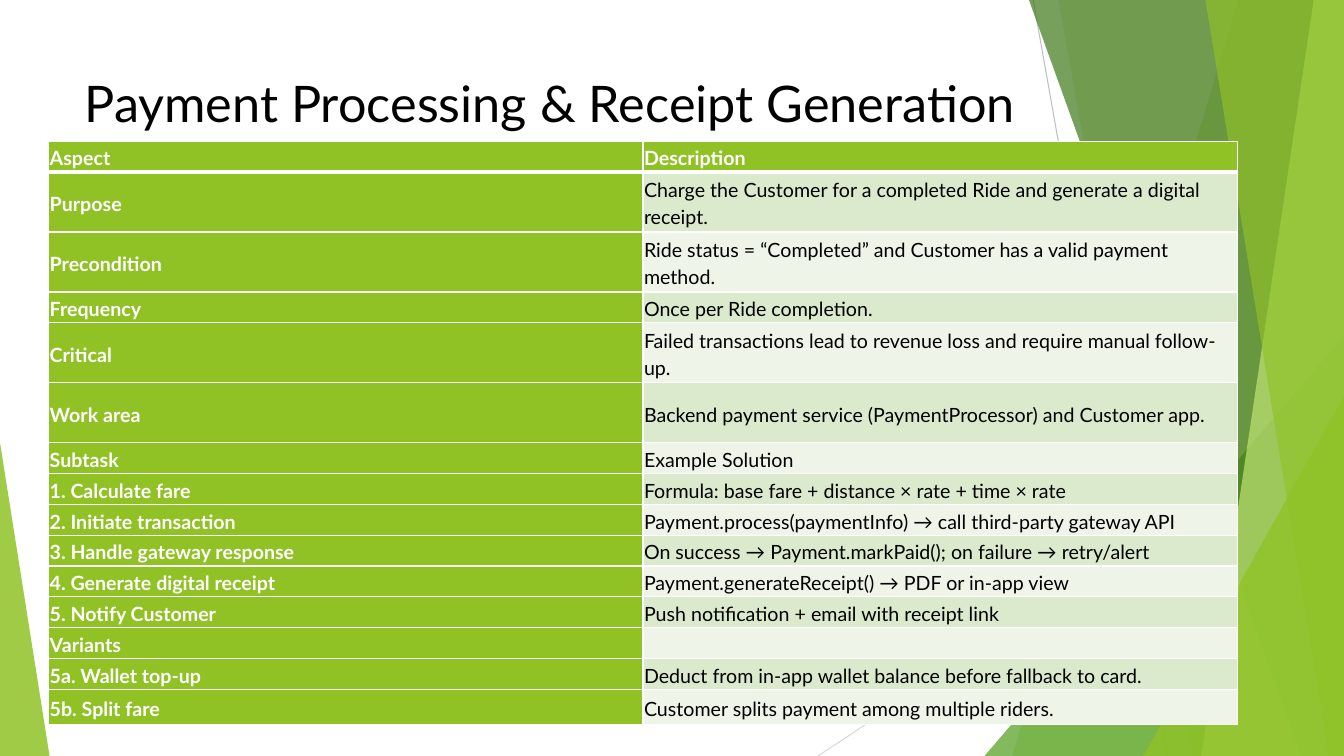
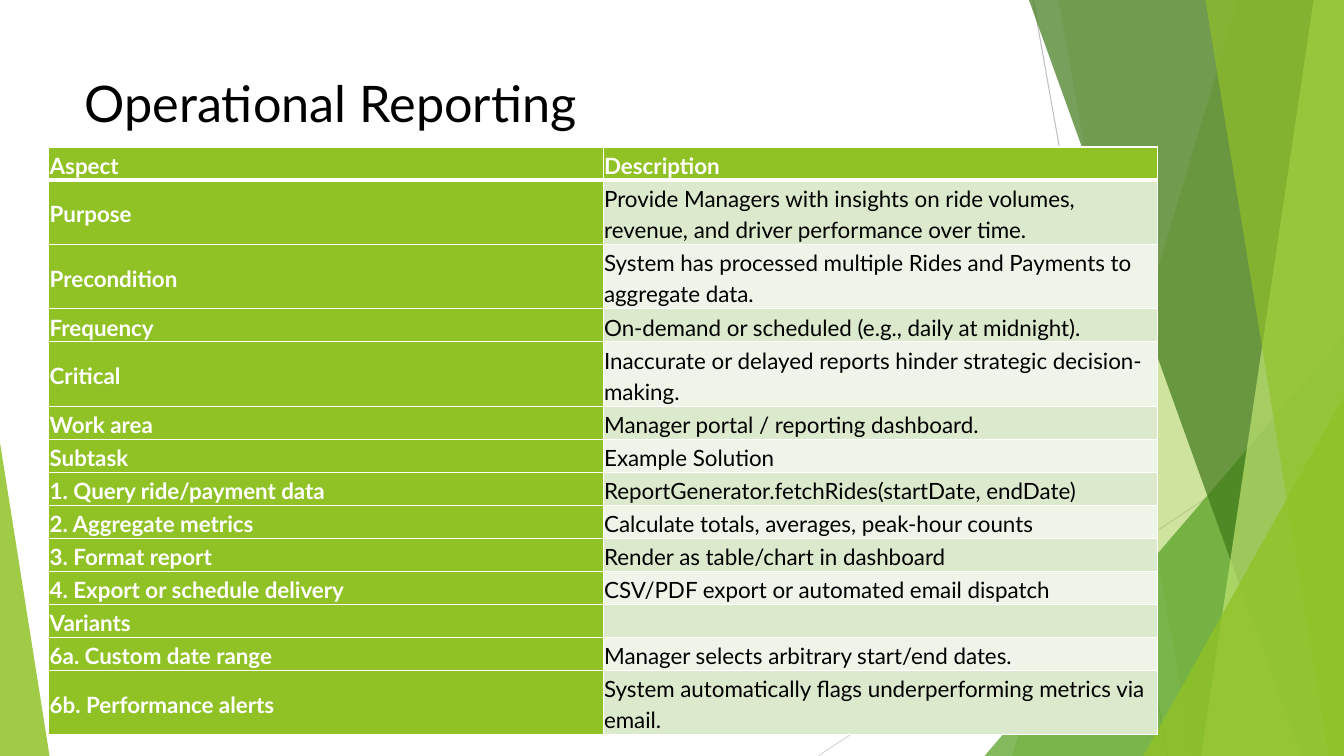
"""Build two use-case slides: a title and an aspect table over green shards."""
from lxml.etree import SubElement
from pptx import Presentation
from pptx.dml.color import RGBColor
from pptx.enum.shapes import MSO_CONNECTOR, MSO_SHAPE
from pptx.enum.text import MSO_ANCHOR
from pptx.oxml.ns import qn
from pptx.util import Inches, Pt

COLUMNS, ROWS = 160, 90
UNIT = Inches(7.5) // ROWS

WHITE = RGBColor(0xFF, 0xFF, 0xFF)
BLACK = RGBColor(0x00, 0x00, 0x00)
LIME = RGBColor(0x90, 0xC2, 0x26)
LEAF = RGBColor(0x54, 0xA0, 0x21)
FOREST = RGBColor(0x3F, 0x78, 0x19)
PALE_LIME = RGBColor(0xC0, 0xE4, 0x74)
BAND_DARK = RGBColor(0xDB, 0xE9, 0xCD)
BAND_LIGHT = RGBColor(0xEE, 0xF4, 0xE8)
GREY = RGBColor(0xBF, 0xBF, 0xBF)
LIGHT_GREY = RGBColor(0xD9, 0xD9, 0xD9)

FONT = "Lato"
TITLE_SIZE = 36
SINGLE, DOUBLE, CLOSING = 1, 1.95, 1.15
INSET = Inches(0.01)
CELL_FORMAT = {
    "margin_left": INSET, "margin_right": INSET,
    "margin_top": INSET, "margin_bottom": INSET,
    "vertical_anchor": MSO_ANCHOR.MIDDLE,
}
CELL_PARAGRAPH = {"line_spacing": 1.15, "space_after": Pt(8)}

PAYMENT_ROWS = [
    ("Aspect", "Description", SINGLE),
    ("Purpose", "Charge the Customer for a completed Ride and generate a digital receipt.", DOUBLE),
    ("Precondition", "Ride status = “Completed” and Customer has a valid payment method.", DOUBLE),
    ("Frequency", "Once per Ride completion.", SINGLE),
    ("Critical", "Failed transactions lead to revenue loss and require manual follow-up.", DOUBLE),
    ("Work area", "Backend payment service (PaymentProcessor) and Customer app.", DOUBLE),
    ("Subtask", "Example Solution", SINGLE),
    ("1. Calculate fare", "Formula: base fare + distance × rate + time × rate", SINGLE),
    ("2. Initiate transaction", "Payment.process(paymentInfo) → call third-party gateway API", SINGLE),
    ("3. Handle gateway response", "On success → Payment.markPaid(); on failure → retry/alert", SINGLE),
    ("4. Generate digital receipt", "Payment.generateReceipt() → PDF or in-app view", SINGLE),
    ("5. Notify Customer", "Push notification + email with receipt link", SINGLE),
    ("Variants", "", SINGLE),
    ("5a. Wallet top-up", "Deduct from in-app wallet balance before fallback to card.", SINGLE),
    ("5b. Split fare", "Customer splits payment among multiple riders.", CLOSING),
]
REPORTING_ROWS = [
    ("Aspect", "Description", SINGLE),
    ("Purpose", "Provide Managers with insights on ride volumes, revenue, and driver performance over time.", DOUBLE),
    ("Precondition", "System has processed multiple Rides and Payments to aggregate data.", DOUBLE),
    ("Frequency", "On-demand or scheduled (e.g., daily at midnight).", SINGLE),
    ("Critical", "Inaccurate or delayed reports hinder strategic decision-making.", DOUBLE),
    ("Work area", "Manager portal / reporting dashboard.", SINGLE),
    ("Subtask", "Example Solution", SINGLE),
    ("1. Query ride/payment data", "ReportGenerator.fetchRides(startDate, endDate)", SINGLE),
    ("2. Aggregate metrics", "Calculate totals, averages, peak-hour counts", SINGLE),
    ("3. Format report", "Render as table/chart in dashboard", SINGLE),
    ("4. Export or schedule delivery", "CSV/PDF export or automated email dispatch", SINGLE),
    ("Variants", "", SINGLE),
    ("6a. Custom date range", "Manager selects arbitrary start/end dates.", SINGLE),
    ("6b. Performance alerts", "System automatically flags underperforming metrics via email.", DOUBLE),
]


def grid(*steps):
    """Turn grid steps into lengths."""
    return [round(step * UNIT) for step in steps]


def set_format(target, values):
    """Set each named attribute on the target."""
    for name, value in values.items():
        setattr(target, name, value)


def write(paragraph, text, size, color, bold=False):
    """Add one formatted run, or size the paragraph if it stays empty."""
    if not text:
        SubElement(paragraph._p, qn("a:endParaRPr"), sz=str(size * 100))
        return
    run = paragraph.add_run()
    run.text = text
    set_format(run.font, {"name": FONT, "size": Pt(size), "bold": bold})
    run.font.color.rgb = color


def tint(shape, color, opacity):
    """Give a shape a translucent fill without outline or shadow."""
    shape.fill.solid()
    shape.fill.fore_color.rgb = color
    shade = shape._element.spPr.find(".//" + qn("a:srgbClr"))
    SubElement(shade, qn("a:alpha"), val=str(opacity * 1000))
    shape.line.fill.background()
    shape.shadow.inherit = False


def add_hairline(shapes, start, end, color):
    """Draw a thin straight line between two grid points."""
    hairline = shapes.add_connector(MSO_CONNECTOR.STRAIGHT, *grid(*start, *end))
    hairline.line.width = Pt(0.75)
    hairline.line.color.rgb = color
    SubElement(hairline._element.spPr, qn("a:effectLst"))


def add_shard(shapes, top_x, bottom_x, color, opacity):
    """Draw a full-height shard from a slanted edge to the right margin."""
    outline = shapes.build_freeform(*grid(top_x, 0), scale=1.0)
    corners = [(COLUMNS, 0), (COLUMNS, ROWS), (bottom_x, ROWS)]
    outline.add_line_segments([grid(*corner) for corner in corners], close=True)
    tint(outline.convert_to_shape(), color, opacity)


def add_corner(shapes, left, top, width, apex, color, opacity):
    """Draw a right triangle standing on the bottom edge."""
    corner = shapes.add_shape(MSO_SHAPE.ISOSCELES_TRIANGLE, *grid(left, top, width, ROWS - top))
    corner.adjustments[0] = apex
    tint(corner, color, opacity)


def add_backdrop(slide):
    """Draw the shared green backdrop as one group."""
    shapes = slide.shapes.add_group_shape().shapes
    add_hairline(shapes, (123, 0), (139, ROWS), GREY)
    add_hairline(shapes, (COLUMNS, 48.4), (97.4, ROWS), LIGHT_GREY)
    add_shard(shapes, 147.4, 120.5, LIME, 30)
    add_shard(shapes, 126, 142, LIME, 20)
    add_corner(shapes, 117.2, 40, 42.8, 1, LEAF, 72)
    add_shard(shapes, 122.5, 154.9, FOREST, 70)
    add_shard(shapes, 156.4, 143, PALE_LIME, 70)
    add_shard(shapes, 143.5, 158.2, LIME, 65)
    add_corner(shapes, 136.1, 47.2, 23.9, 1, LIME, 80)
    add_corner(shapes, 0, 52.7, 5.9, 0, LIME, 85)


def add_title(slide, text, width):
    """Add the slide title."""
    title = slide.shapes.add_textbox(*grid(8.9, 8, width, 17.3)).text_frame
    set_format(title, {"word_wrap": True, "vertical_anchor": MSO_ANCHOR.TOP})
    write(title.paragraphs[0], text, TITLE_SIZE, BLACK)


def add_borders(cell, row):
    """Rule a cell in white, with a heavy line below the header."""
    widths = {"L": 1, "R": 1, "T": 3 if row == 1 else 1, "B": 3 if row == 0 else 1}
    for side, width in widths.items():
        border = SubElement(cell._tc.get_or_add_tcPr(), qn("a:ln" + side), w=str(Pt(width)))
        SubElement(SubElement(border, qn("a:solidFill")), qn("a:srgbClr"), val=str(WHITE))


def fill_cell(cell, text, row, is_label, size):
    """Write and colour one table cell."""
    strong = is_label or row == 0
    add_borders(cell, row)
    set_format(cell, CELL_FORMAT)
    cell.fill.solid()
    cell.fill.fore_color.rgb = LIME if strong else BAND_DARK if row % 2 else BAND_LIGHT
    paragraph = cell.text_frame.paragraphs[0]
    set_format(paragraph, CELL_PARAGRAPH)
    write(paragraph, text, size, WHITE if strong else BLACK, strong)


def add_aspects(slide, rows, top, width, height, size):
    """Add the aspect table, sharing its height by row weight."""
    frame = slide.shapes.add_table(len(rows), 2, *grid(5.8, top, width, height))
    aspects = frame.table
    line_height = height / sum(weight for _, _, weight in rows)
    for row, (label, description, weight) in enumerate(rows):
        aspects.rows[row].height = grid(line_height * weight)[0]
        for column, text in enumerate((label, description)):
            fill_cell(aspects.cell(row, column), text, row, column == 0, size)


def main():
    """Build and save the presentation."""
    deck = Presentation()
    deck.slide_width, deck.slide_height = grid(COLUMNS, ROWS)
    pages = [
        ("Payment Processing & Receipt Generation", 118.6, PAYMENT_ROWS, (16.8, 141.5, 69.5), 14),
        ("Operational Reporting", 112.8, REPORTING_ROWS, (17.5, 132, 70), 16),
    ]
    for title, title_width, rows, place, size in pages:
        slide = deck.slides.add_slide(deck.slide_layouts[6])
        add_backdrop(slide)
        add_title(slide, title, title_width)
        add_aspects(slide, rows, *place, size)
    deck.save("out.pptx")


if __name__ == "__main__":
    main()
